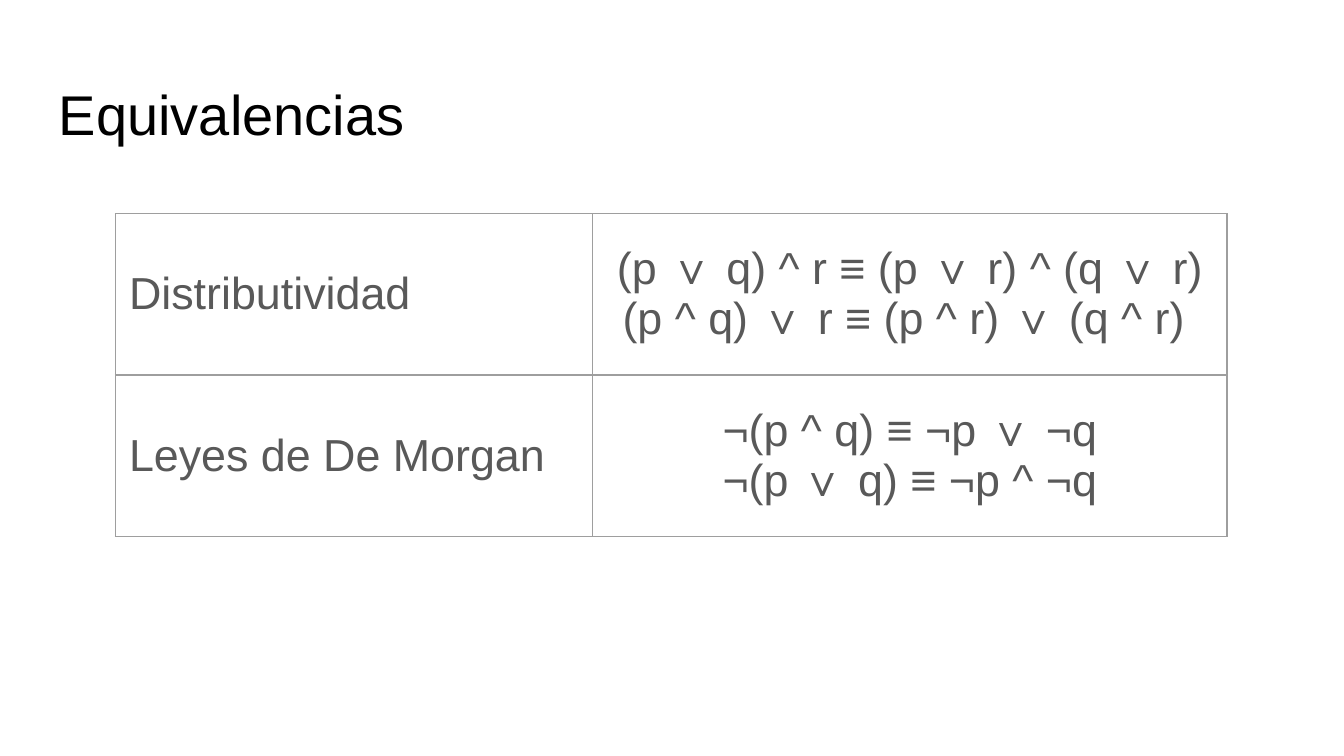
from lxml import etree
from pptx import Presentation, util as u
from pptx.dml.color import RGBColor
from pptx.enum import text
from pptx.oxml import ns

COLORS = {"title": "000000", "body": "595959", "border": "9E9E9E"}
SLIDE_WIDTH = 10
SLIDE_HEIGHT = SLIDE_WIDTH * 9 / 16
COLUMNS = [3.55, 4.72]
ROW_HEIGHT = 1.2
LAWS = [
    ("Distributividad",
     ["(p ∨ q) ^ r ≡ (p ∨ r) ^ (q ∨ r)", "(p ^ q) ∨ r ≡ (p ^ r) ∨ (q ^ r) "]),
    ("Leyes de De Morgan",
     ["¬(p ^ q) ≡ ¬p ∨ ¬q", "¬(p ∨ q) ≡ ¬p ^ ¬q"]),
]


def write(paragraph, content, size, color):
    run = paragraph.add_run()
    run.text = content
    for name, value in {"size": u.Pt(size), "name": "Arial"}.items():
        setattr(run.font, name, value)
    run.font.color.rgb = RGBColor.from_string(COLORS[color])


def add_borders(cell):
    properties = cell._tc.get_or_add_tcPr()
    for position, side in enumerate(["lnL", "lnR", "lnT", "lnB"]):
        line = etree.Element(ns.qn(f"a:{side}"), w=str(u.Pt(0.75)))
        fill = etree.SubElement(line, ns.qn("a:solidFill"))
        etree.SubElement(fill, ns.qn("a:srgbClr"), val=COLORS["border"])
        properties.insert(position, line)


presentation = Presentation()
presentation.slide_width = u.Inches(SLIDE_WIDTH)
presentation.slide_height = u.Inches(SLIDE_HEIGHT)
slide = presentation.slides.add_slide(presentation.slide_layouts[6])

margins = {f"margin_{side}": u.Inches(0.1) for side in ["left", "right", "top", "bottom"]}

title = slide.shapes.add_textbox(*map(u.Inches, [0.34, 0.49, 9.32, 0.63]))
for name, value in {**margins, "word_wrap": True}.items():
    setattr(title.text_frame, name, value)
write(title.text_frame.paragraphs[0], "Equivalencias", 30, "title")

table = slide.shapes.add_table(
    len(LAWS), len(COLUMNS),
    *map(u.Inches, [0.86, 1.59, sum(COLUMNS), ROW_HEIGHT * len(LAWS)])).table
table.first_row = table.horz_banding = False
for column, width in zip(table.columns, COLUMNS):
    column.width = u.Inches(width)

cell_format = {**margins, "vertical_anchor": text.MSO_ANCHOR.MIDDLE}
for row, (law, formulas) in zip(table.rows, LAWS):
    row.height = u.Inches(ROW_HEIGHT)
    contents = [([law], text.PP_ALIGN.LEFT), (formulas, text.PP_ALIGN.CENTER)]
    for cell, (lines, alignment) in zip(row.cells, contents):
        cell.fill.background()
        for name, value in cell_format.items():
            setattr(cell, name, value)
        add_borders(cell)
        frame = cell.text_frame
        for index, content in enumerate(lines):
            paragraph = frame.add_paragraph() if index else frame.paragraphs[0]
            paragraph.alignment = alignment
            paragraph.space_after = u.Pt(16 if index else 0)
            write(paragraph, content, 24, "body")

presentation.save("out.pptx")
